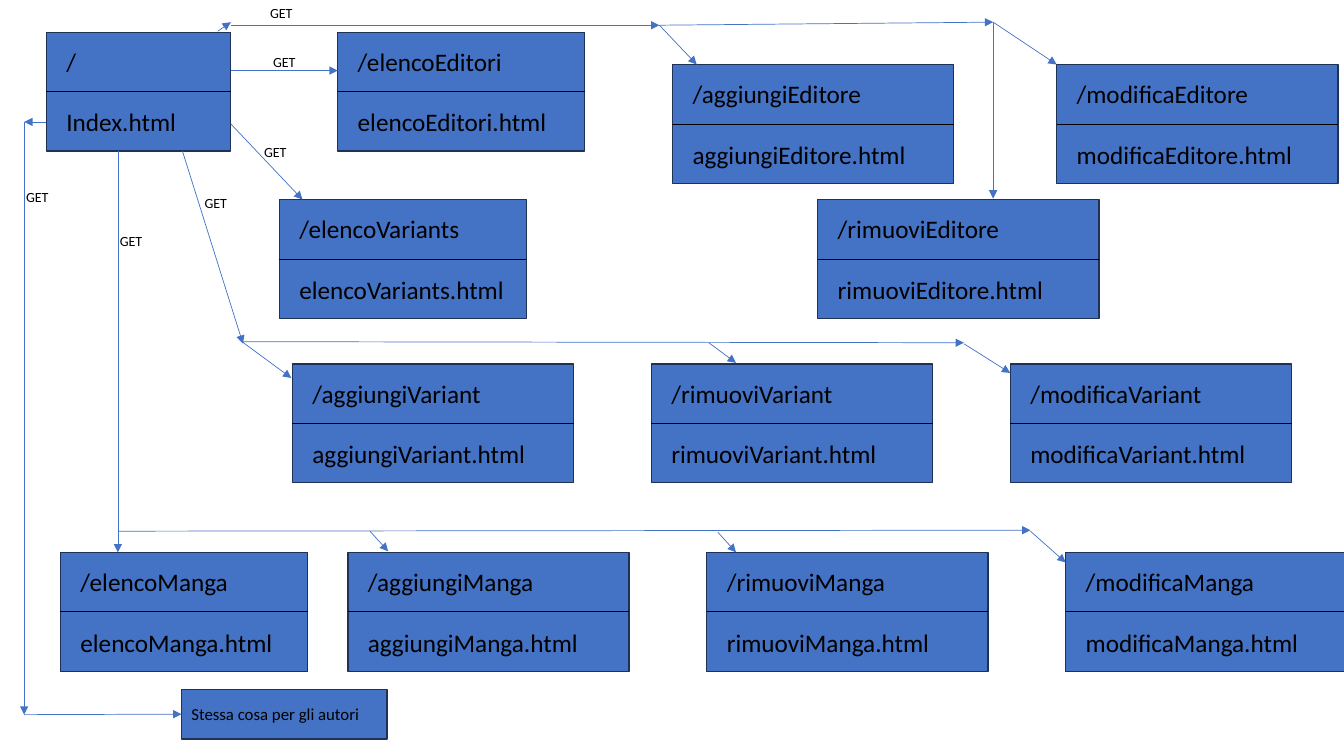
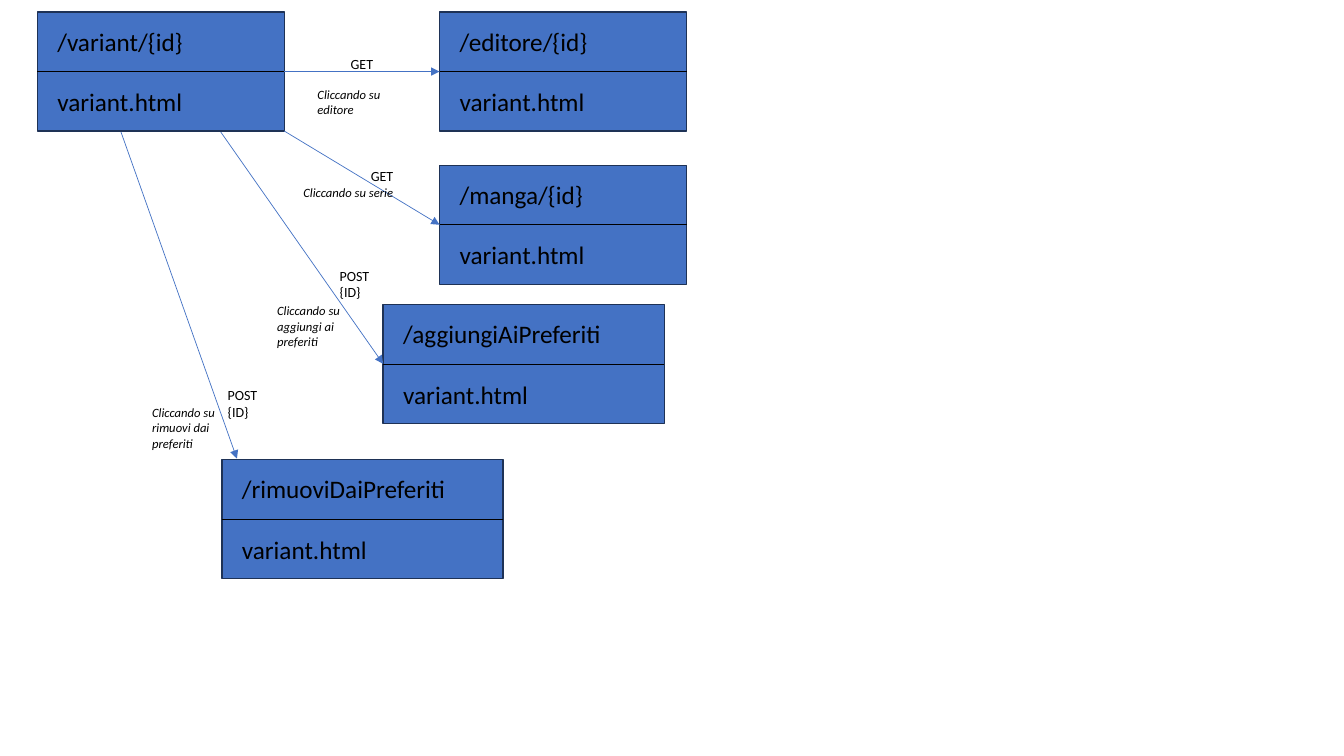
from lxml.etree import SubElement
from pptx import Presentation
from pptx.dml.color import RGBColor
from pptx.enum.shapes import MSO_CONNECTOR, MSO_SHAPE
from pptx.enum.text import MSO_ANCHOR, MSO_AUTO_SIZE, PP_ALIGN
from pptx.oxml.ns import qn
from pptx.util import Pt

PX = 9144  # 100 px to the inch
BLUE = RGBColor(0x44, 0x72, 0xC4)
NAVY = RGBColor(0x1E, 0x32, 0x56)
BLACK = RGBColor(0, 0, 0)
FONT = "Calibri"
NARROW, WIDE = 245, 279
CARD_HEIGHT, NOTE_HEIGHT = 118, 49
TOP, LEFT, BOTTOM, RIGHT = range(4)


def write(box, text, size, italic=False):
    frame = box.text_frame
    frame.text = text
    for para in frame.paragraphs:
        para.alignment = PP_ALIGN.LEFT
        para.font.name = FONT
        para.font.size = Pt(size)
        para.font.italic = italic
        para.font.color.rgb = BLACK
    return frame


def add_line(page, start, end, color, arrow=False):
    """Draw from start to end; each is an (x, y) point or a (shape, side) pair."""
    line = page.shapes.add_connector(MSO_CONNECTOR.STRAIGHT, 0, 0, 0, 0)
    if isinstance(start[0], int):
        line.begin_x, line.begin_y = start[0] * PX, start[1] * PX
    else:
        line.begin_connect(*start)
    if isinstance(end[0], int):
        line.end_x, line.end_y = end[0] * PX, end[1] * PX
    else:
        line.end_connect(*end)
    line.line.color.rgb = color
    line.line.width = Pt(0.5)
    properties = line._element.spPr
    if arrow:
        SubElement(properties.find(qn("a:ln")), qn("a:tailEnd"), type="triangle")
    SubElement(properties, qn("a:effectLst"))


# Boxes: route, file, left, top, width. A box without a file is a plain note.
NOTE = "Stessa cosa per gli autori"
site_boxes = [("/", "Index.html", 46, 32, 183)]
for name, left, top, width in (
    ("elencoEditori", 335, 32, NARROW),
    ("elencoVariants", 277, 198, NARROW),
    ("elencoManga", 60, 548, NARROW),
    ("aggiungiEditore", 667, 64, WIDE),
    ("rimuoviEditore", 811, 198, WIDE),
    ("modificaEditore", 1048, 64, WIDE),
):
    site_boxes.append((f"/{name}", f"{name}.html", left, top, width))
for subject, first_left, top in (("Variant", 290, 361), ("Manga", 345, 548)):
    for column, action in enumerate(("aggiungi", "rimuovi", "modifica")):
        name = action + subject
        site_boxes.append(
            (f"/{name}", f"{name}.html", first_left + 356 * column, top, WIDE))
site_boxes.append((NOTE, None, 180, 684, 204))

variant_boxes = [
    (route, "variant.html", left, top, width)
    for route, left, top, width in (
        ("/variant/{id}", 37, 12, NARROW),
        ("/editore/{id}", 436, 12, NARROW),
        ("/manga/{id}", 436, 164, NARROW),
        ("/aggiungiAiPreferiti", 380, 302, WIDE),
        ("/rimuoviDaiPreferiti", 220, 456, WIDE),
    )
]

# Arrows: start and end, each a point or a (route, side) pair.
site_arrows = [
    ((229, 70), (335, 70)),
    ((229, 123), (300, 198)),
    ((117, 150), (117, 548)),
    # publishers
    ((216, 31), (229, 22)),
    ((229, 25), (654, 25)),
    ((654, 25), (691, 64)),
    ((654, 25), (985, 22)),
    ((985, 22), (985, 197)),
    ((985, 22), (1048, 64)),
    # variants
    ((181, 150), (241, 341)),
    ((240, 339), (289, 375)),
    ((240, 339), (956, 340)),
    ((703, 340), (730, 360)),
    ((956, 341), (1002, 370)),
    # manga
    ((117, 527), (1022, 526)),
    ((367, 527), (385, 547)),
    ((712, 528), (730, 548)),
    ((1022, 527), (1057, 558)),
    # authors
    ((46, 121), (24, 121)),
    ((24, 121), (24, 709)),
    ((24, 709), (NOTE, LEFT)),
]
variant_arrows = [
    (("/variant/{id}", RIGHT), ("/editore/{id}", LEFT)),
    ((282, 130), ("/manga/{id}", LEFT)),
    ((219, 131), ("/aggiungiAiPreferiti", LEFT)),
    ((120, 131), (235, 455)),
]

# Labels: text, left, top. Captions also wrap and are italic.
site_labels = [
    ("GET", left, top)
    for left, top in ((261, 48), (252, 137), (109, 226), (258, 0), (193, 188), (16, 182))
]
variant_labels = [
    ("GET", 338, 50),
    ("GET", 358, 161),
    ("POST\n{ID}", 327, 260),
    ("POST\n{ID}", 216, 379),
]
variant_captions = [
    ("Cliccando su editore", 305, 81),
    ("Cliccando su serie", 291, 179),
    ("Cliccando su aggiungi ai preferiti", 265, 296),
    ("Cliccando su rimuovi dai preferiti", 141, 397),
]

deck = Presentation()
deck.slide_width, deck.slide_height = 1333 * PX, 750 * PX

for boxes, arrows, labels, captions in (
    (site_boxes, site_arrows, site_labels, []),
    (variant_boxes, variant_arrows, variant_labels, variant_captions),
):
    page = deck.slides.add_slide(deck.slide_layouts[6])
    shapes = {}

    for route, file, left, top, width in boxes:
        height = CARD_HEIGHT if file else NOTE_HEIGHT
        box = page.shapes.add_shape(
            MSO_SHAPE.RECTANGLE, left * PX, top * PX, width * PX, height * PX)
        box.shadow.inherit = False
        box.fill.solid()
        box.fill.fore_color.rgb = BLUE
        box.line.color.rgb = NAVY
        box.line.width = Pt(1)
        shapes[route] = box
        if not file:
            write(box, route, 12).vertical_anchor = MSO_ANCHOR.MIDDLE
            continue
        add_line(page, (box, LEFT), (box, RIGHT), BLACK)
        for text, offset in ((route, 9), (file, 69)):
            row = page.shapes.add_textbox(
                (left + 10) * PX, (top + offset) * PX, (width - 11) * PX, 40 * PX)
            write(row, text, 18).word_wrap = True

    for ends in arrows:
        start, end = [(shapes.get(first, first), second) for first, second in ends]
        add_line(page, start, end, BLUE, arrow=True)

    for text, left, top in labels:
        width, height = (52, 44) if "\n" in text else (42, 27)
        label = page.shapes.add_textbox(left * PX, top * PX, width * PX, height * PX)
        frame = write(label, text, 10)
        frame.word_wrap = False
        frame.auto_size = MSO_AUTO_SIZE.SHAPE_TO_FIT_TEXT

    for text, left, top in captions:
        caption = page.shapes.add_textbox(left * PX, top * PX, 109 * PX, 40 * PX)
        frame = write(caption, text, 9, italic=True)
        frame.word_wrap = True
        frame.auto_size = MSO_AUTO_SIZE.SHAPE_TO_FIT_TEXT

deck.save("out.pptx")
